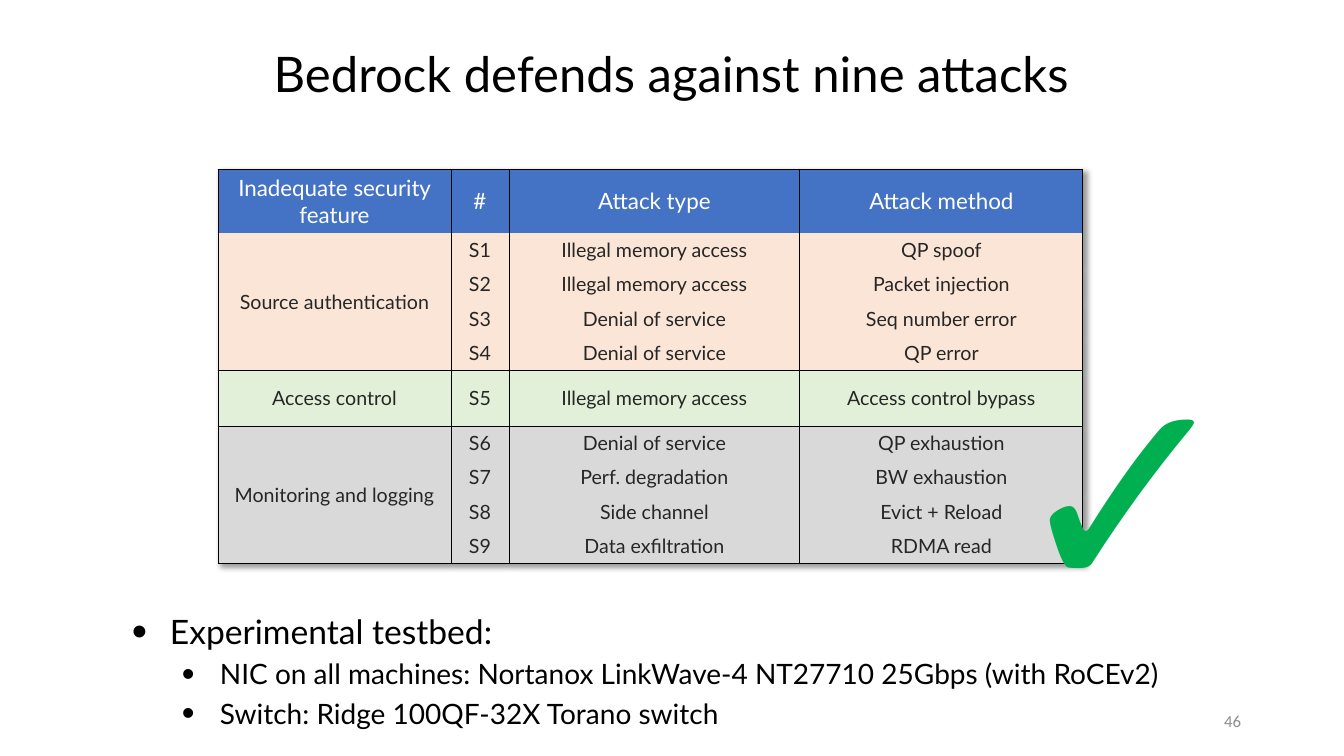
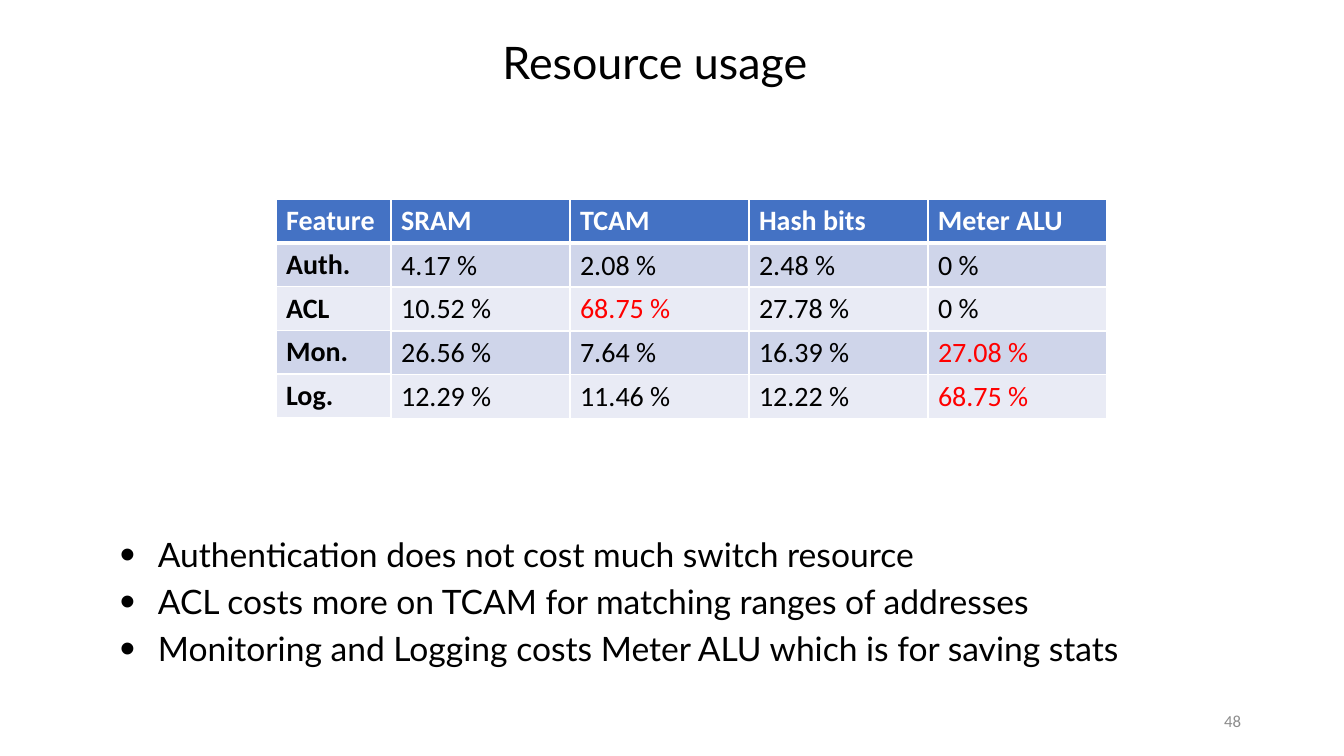
import pptx
import pptx.util
import pptx.dml.color
import pptx.enum.text
import pptx.oxml
import pptx.oxml.ns
from lxml import etree

# Theme
THEME = {
    "ink": "000000", "text": "262626", "white": "FFFFFF", "blue": "4472C4",
    "peach": "FBE5D6", "mint": "E2F0D9", "gray": "D9D9D9",
    "dark": "CFD5EA", "light": "E9EBF5", "red": "FF0000", "green": "00B050",
    "foot": "8C8C8C", "font": "Lato", "plain": "Calibri",
    "bullet": (24, 20), "head": 16, "cell": 14, "data": 20, "num": 12,
    "tick": 199, "rule": 0.75,
}
PX = 914400 / 100.8
WIDE, HIGH = 1344, 756
NO_STYLE = "{2D5ABB26-0587-4C30-8999-92F81FD0307C}"
ALIGN = pptx.enum.text.PP_ALIGN
ANCHOR = pptx.enum.text.MSO_ANCHOR

# Content: first slide
ATTACKS = {
    "title": ("Bedrock defends against nine attacks", (121, 18, 1101, 109), 35),
    "page": "46",
    "head": ["Inadequate security feature", "#", "Attack type", "Attack method"],
    "place": (218, 169), "cols": [233, 58, 291, 283], "top": 64,
    "groups": [
        ("Source authentication", "peach", 137, [
            ("Illegal memory access", "QP spoof"),
            ("Illegal memory access", "Packet injection"),
            ("Denial of service", "Seq number error"),
            ("Denial of service", "QP error")]),
        ("Access control", "mint", 56, [
            ("Illegal memory access", "Access control bypass")]),
        ("Monitoring and logging", "gray", 137, [
            ("Denial of service", "QP exhaustion"),
            ("Perf. degradation", "BW exhaustion"),
            ("Side channel", "Evict + Reload"),
            ("Data exfiltration", "RDMA read")]),
    ],
    "box": (122, 606, 1074, 132),
    "points": [
        (0, "Experimental testbed:"),
        (1, "NIC on all machines: Nortanox LinkWave-4 NT27710 25Gbps (with RoCEv2)"),
        (1, "Switch: Ridge 100QF-32X Torano switch")],
    "tick": ("✓", (999, 312, 298, 348)),
}

# Content: second slide
USAGE = {
    "title": ("Resource usage", (62, 21, 1186, 82), 32),
    "page": "48",
    "left": 276, "top": 199, "first": 115, "col": 179, "row": 41,
    "head": ["Feature", "SRAM", "TCAM", "Hash bits", "Meter ALU"],
    "names": [("Auth.", "dark"), ("ACL", "light"),
              ("Mon.", "dark"), ("Log.", "light")],
    "parts": [
        (244, [("dark", ["4.17 %", "2.08 %", "2.48 %", "0 %"], ())]),
        (287, [("light", ["10.52 %", "68.75 %", "27.78 %", "0 %"], (1,))]),
        (331, [("dark", ["26.56 %", "7.64 %", "16.39 %", "27.08 %"], (3,)),
               ("light", ["12.29 %", "11.46 %", "12.22 %", "68.75 %"], (3,))]),
    ],
    "box": (110, 529, 1173, 182),
    "points": [
        (0, "Authentication does not cost much switch resource"),
        (0, "ACL costs more on TCAM for matching ranges of addresses"),
        (0, "Monitoring and Logging costs Meter ALU which is for saving stats")],
}


def emu(px):
    return pptx.util.Emu(round(px * PX))


def rgb(code):
    return pptx.dml.color.RGBColor.from_string(code)


def add_run(para, text, size, color="ink", font="font", bold=False):
    run = para.add_run()
    run.text = text
    face = run.font
    face.name, face.size, face.bold = THEME[font], pptx.util.Pt(size), bold
    face.color.rgb = rgb(THEME[color])


def add_box(slide, place, anchor=ANCHOR.TOP):
    frame = slide.shapes.add_textbox(*map(emu, place)).text_frame
    frame.word_wrap = True
    frame.vertical_anchor = anchor
    return frame


def add_line(slide, text, place, size, align, **look):
    para = add_box(slide, place, ANCHOR.MIDDLE).paragraphs[0]
    para.alignment = align
    add_run(para, text, size, **look)


def add_base(deck, data):
    """Blank slide with the shared title and page number."""
    slide = deck.slides.add_slide(deck.slide_layouts[6])
    text, place, size = data["title"]
    add_line(slide, text, place, size, ALIGN.CENTER)
    add_line(slide, data["page"], (949, 701, 302, 40), THEME["num"],
             ALIGN.RIGHT, color="foot", font="plain")
    return slide


def add_points(slide, place, points):
    frame = add_box(slide, place)
    for i, (level, text) in enumerate(points):
        para = frame.add_paragraph() if i else frame.paragraphs[0]
        size = THEME["bullet"][level]
        para.level = level
        prop = para._p.get_or_add_pPr()
        prop.set("marL", str(emu(38 + 50 * level)))
        prop.set("indent", str(emu(-38)))
        for tag, key, val in (("buSzPct", "val", "130000"),
                              ("buFont", "typeface", "Arial"),
                              ("buChar", "char", "•")):
            etree.SubElement(prop, pptx.oxml.ns.qn("a:" + tag)).set(key, val)
        if i:
            para.space_before = pptx.util.Pt(size * 0.2)
        add_run(para, text, size)


# Tables
def add_grid(slide, place, cols, rows):
    size = (sum(cols), sum(rows))
    table = slide.shapes.add_table(len(rows), len(cols),
                                   *map(emu, place + size)).table
    table.first_row = table.horz_banding = False
    table._tbl.tblPr.find(pptx.oxml.ns.qn("a:tableStyleId")).text = NO_STYLE
    for col, width in zip(table.columns, cols):
        col.width = emu(width)
    for row, height in zip(table.rows, rows):
        row.height = emu(height)
    return table


def set_edges(cell, color, widths):
    prop = cell._tc.get_or_add_tcPr()
    sides = [side for side in "LRTB" if side in widths]
    for i, side in enumerate(sides):
        prop.insert(i, pptx.oxml.parse_xml(
            f'<a:ln{side} {pptx.oxml.ns.nsdecls("a")} '
            f'w="{pptx.util.Pt(widths[side])}"><a:solidFill>'
            f'<a:srgbClr val="{THEME[color]}"/></a:solidFill></a:ln{side}>'))


def fill_cell(cell, fill):
    cell.fill.solid()
    cell.fill.fore_color.rgb = rgb(THEME[fill])


def add_shade(table):
    table._tbl.tblPr.insert(0, pptx.oxml.parse_xml(
        f'<a:effectLst {pptx.oxml.ns.nsdecls("a")}><a:outerShdw '
        'blurRad="50800" dist="38100" dir="2700000" algn="tl">'
        '<a:srgbClr val="000000"><a:alpha val="40000"/></a:srgbClr>'
        '</a:outerShdw></a:effectLst>'))


def put_mid(cell, text, size, color):
    cell.vertical_anchor = ANCHOR.MIDDLE
    para = cell.text_frame.paragraphs[0]
    para.alignment = ALIGN.CENTER
    add_run(para, text, size, color)


def put_data(cell, text, fill, color="ink", bold=False):
    add_run(cell.text_frame.paragraphs[0], text, THEME["data"], color,
            "plain", bold)
    fill_cell(cell, fill)


def add_attacks(deck, data):
    slide = add_base(deck, data)
    rows = [data["top"]]
    for _, _, height, items in data["groups"]:
        rows += [height / len(items)] * len(items)
    table = add_grid(slide, data["place"], data["cols"], rows)
    add_shade(table)
    for col, text in enumerate(data["head"]):
        cell = table.cell(0, col)
        put_mid(cell, text, THEME["head"], "white")
        fill_cell(cell, "blue")
        set_edges(cell, "ink", dict.fromkeys("LRT", THEME["rule"]))

    row = 1
    for name, fill, _, items in data["groups"]:
        last = row + len(items) - 1
        if last > row:
            table.cell(row, 0).merge(table.cell(last, 0))
        put_mid(table.cell(row, 0), name, THEME["cell"], "text")
        for item in items:
            for col, text in enumerate((f"S{row}",) + item, 1):
                put_mid(table.cell(row, col), text, THEME["cell"], "text")
            for col in range(len(data["cols"])):
                cell = table.cell(row, col)
                edges = "LRB" if row == last or col == 0 else "LR"
                fill_cell(cell, fill)
                set_edges(cell, "ink", dict.fromkeys(edges, THEME["rule"]))
            row += 1

    add_points(slide, data["box"], data["points"])
    mark, place = data["tick"]
    add_run(add_box(slide, place).paragraphs[0], mark, THEME["tick"],
            "green", bold=True)


def add_usage(deck, data):
    slide = add_base(deck, data)
    add_points(slide, data["box"], data["points"])
    names, high = data["names"], data["row"]
    cols = [data["col"]] * (len(data["head"]) - 1)

    # Frame: header row and feature names
    table = add_grid(slide, (data["left"], data["top"]),
                     [data["first"]] + cols, [high] * (len(names) + 1))
    for col, text in enumerate(data["head"]):
        put_data(table.cell(0, col), text, "blue", "white", True)
    for row, (name, fill) in enumerate(names, 1):
        put_data(table.cell(row, 0), name, fill, bold=True)
    for i in range(len(names) + 1):
        for j in range(len(data["head"])):
            set_edges(table.cell(i, j), "white",
                      {"L": 1, "R": 1, "T": 3 if i == 1 else 1,
                       "B": 1 if i else 3})

    # Values, laid over the frame
    for top, lines in data["parts"]:
        table = add_grid(slide, (data["left"] + data["first"], top),
                         cols, [high] * len(lines))
        for row, (fill, texts, hot) in enumerate(lines):
            for col, text in enumerate(texts):
                cell = table.cell(row, col)
                put_data(cell, text, fill, "red" if col in hot else "ink")
                set_edges(cell, "white", dict.fromkeys("LRTB", 1))


def main():
    deck = pptx.Presentation()
    deck.slide_width, deck.slide_height = emu(WIDE), emu(HIGH)
    add_attacks(deck, ATTACKS)
    add_usage(deck, USAGE)
    deck.save("out.pptx")


if __name__ == "__main__":
    main()
